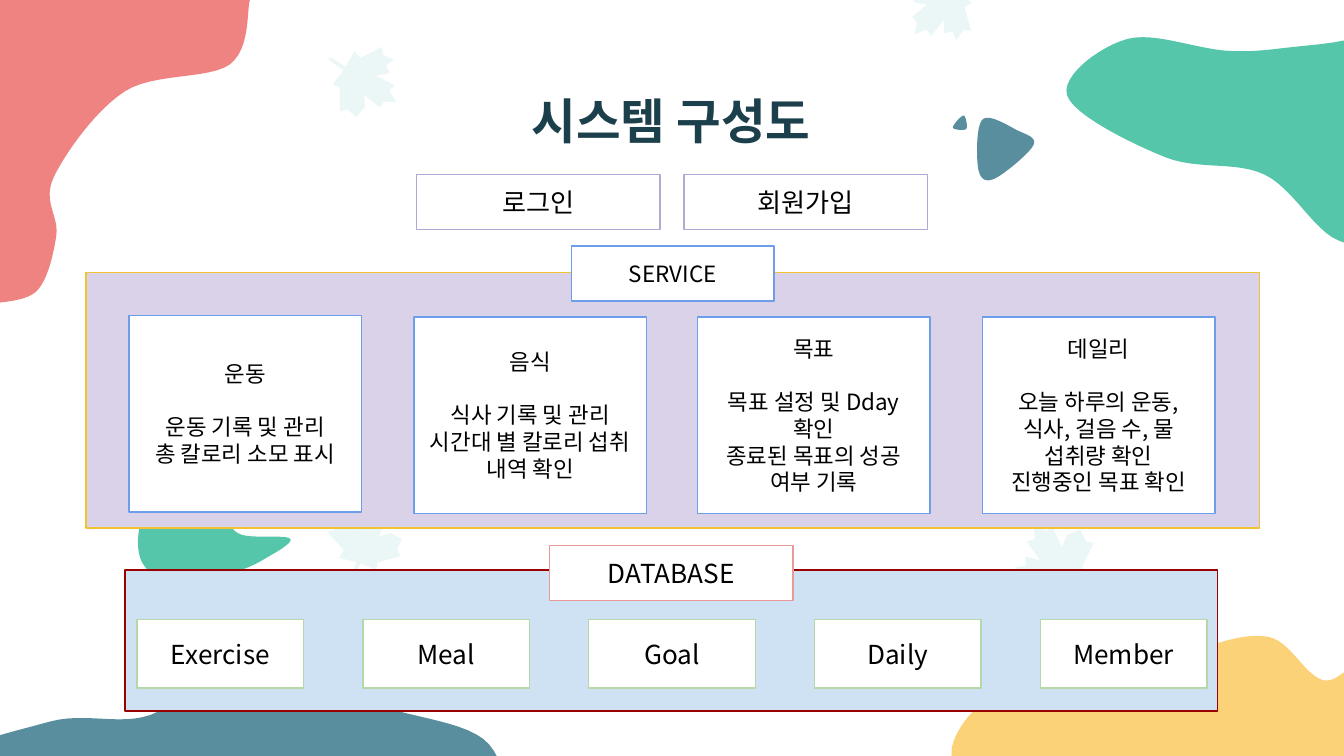
"""Build the system diagram slide."""
import lxml.etree
import pptx
import pptx.dml.color
import pptx.enum.shapes
import pptx.enum.text
import pptx.oxml.ns
import pptx.util

SCALE = 9144
FONT = "Noto Sans CJK KR"
CORAL, GREEN, GOLD, SLATE = "EE8381", "56C6AA", "FCD279", "588E9E"

WAVE = [(186, 0), (171, 48), (93, 68), (40, 132), (42, 175), (28, 216), (-4, 226)]
BACK = [
    (GREEN, [(867, 117), (941, 130), (996, 179), (1055, 177), (1194, 134), (1146, 16),
             (982, 33), (916, 38), (839, 29), (794, 71)]),
    (GOLD, [(1105, 579), (1017, 651), (833, 618), (733, 601), (708, 559), (737, 519),
            (785, 517), (834, 520), (886, 486), (944, 474), (984, 506), (1025, 498)]),
    (SLATE, [(37, 537), (112, 532), (172, 489), (231, 497), (284, 525), (364, 554),
             (373, 629), (304, 667), (143, 632), (-40, 575)]),
]
FRONT = [
    (GREEN, [(180, 398), (160, 384), (111, 381), (105, 417), (136, 439), (172, 427),
             (195, 417), (216, 401)]),
    (SLATE, [(740, 133), (769, 108), (757, 97), (731, 89), (728, 126)]),
    (SLATE, [(717, 86), (709, 95), (719, 96)]),
]
LEAF = [
    (15, 4), (16, 15), (10, 17), (20, 31), (9, 28), (9, 35), (1, 36), (7, 44), (5, 50),
    (25, 50), (27, 57), (39, 49), (47, 62), (49, 61), (42, 47), (55, 41), (51, 36),
    (60, 18), (54, 17), (50, 8), (40, 12), (36, 21), (29, 6), (24, 9)]
LEAVES = [(785, 419, 1, 0), (271, 403, 0.9, 48), (271, 59, 0.9, 153), (702, 5, 0.9, 254)]

CARDS = [
    ["운동", "운동 기록 및 관리", "총 칼로리 소모 표시"],
    ["음식", "식사 기록 및 관리", "시간대 별 칼로리 섭취 내역 확인"],
    ["목표", "목표 설정 및 Dday 확인", "종료된 목표의 성공 여부 기록"],
    ["데일리", "오늘 하루의 운동, 식사, 걸음 수, 물 섭취량 확인", "진행중인 목표 확인"],
]
STORES = ["Exercise", "Meal", "Goal", "Daily", "Member"]


def px(*nums):
    """Turn px into EMU."""
    return [pptx.util.Emu(round(num * SCALE)) for num in nums]


def color(code):
    """Turn a hex string into a colour."""
    return pptx.dml.color.RGBColor.from_string(code)


def blend(a, b, c, d, t):
    """Find a value between b and c on a smooth curve."""
    return b + t / 2 * (c - a + t * (2 * a - 5 * b + 4 * c - d + t * (3 * b - a - 3 * c + d)))


def curve(knots, steps=12):
    """Sample a smooth curve that runs through all knots but the ends."""
    spots = []
    for quad in zip(knots, knots[1:], knots[2:], knots[3:]):
        for step in range(steps):
            spots.append(tuple(blend(*axis, step / steps) for axis in zip(*quad)))
    return spots + [knots[-2]]


def outline(slide, spots, fill):
    """Draw a closed outline with a plain fill."""
    spots = [px(*spot) for spot in spots]
    pen = slide.shapes.build_freeform(*spots[0])
    pen.add_line_segments(spots[1:], close=True)
    shape = pen.convert_to_shape()
    shape.shadow.inherit = False
    shape.fill.solid()
    shape.fill.fore_color.rgb = color(fill)
    shape.line.fill.background()
    return shape


def blob(slide, fill, knots):
    """Draw a smooth closed blob."""
    outline(slide, curve(knots[-1:] + knots + knots[:2]), fill)


def leaf(slide, x, y, size, angle):
    """Draw a pale leaf around a centre."""
    shape = outline(slide, [(x + (a - 31) * size, y + (b - 33) * size) for a, b in LEAF], "CBE7EA")
    shape.rotation = angle
    tint = shape.fill._xPr.find(".//" + pptx.oxml.ns.qn("a:srgbClr"))
    lxml.etree.SubElement(tint, pptx.oxml.ns.qn("a:alpha"), val="37000")


def write(shape, lines, size, ink="000000", bold=False, gap=0):
    """Write centred lines, with a gap after the first."""
    frame = shape.text_frame
    frame.word_wrap = True
    frame.vertical_anchor = pptx.enum.text.MSO_ANCHOR.MIDDLE
    frame.margin_left, frame.margin_top, frame.margin_right, frame.margin_bottom = px(*[10] * 4)
    frame.text = "\n".join(lines)
    for i, para in enumerate(frame.paragraphs):
        para.alignment = pptx.enum.text.PP_ALIGN.CENTER
        if i == 1:
            para.space_before = pptx.util.Pt(gap)
        font = para.font
        font.name, font.size, font.bold = FONT, pptx.util.Pt(size), bold
        font.color.rgb = color(ink)
        lxml.etree.SubElement(font._rPr, pptx.oxml.ns.qn("a:ea"), typeface=FONT)


def box(slide, place, line, fill="FFFFFF", lines=(), size=14, gap=0):
    """Draw a thin-edged box, with text if given."""
    shape = slide.shapes.add_shape(pptx.enum.shapes.MSO_SHAPE.RECTANGLE, *px(*place))
    shape.shadow.inherit = False
    if fill:
        shape.fill.solid()
        shape.fill.fore_color.rgb = color(fill)
    else:
        shape.fill.background()
    shape.line.color.rgb = color(line)
    shape.line.width = pptx.util.Pt(0.75)
    if lines:
        write(shape, lines, size, gap=gap)


def main():
    """Build and save the slide."""
    deck = pptx.Presentation()
    deck.slide_width, deck.slide_height = px(1000, 562.5)
    slide = deck.slides.add_slide(deck.slide_layouts[6])
    outline(slide, [(-4, 0)] + curve(WAVE[:1] + WAVE + WAVE[-1:]), CORAL)
    for fill, knots in BACK:
        blob(slide, fill, knots)
    for spot in LEAVES:
        leaf(slide, *spot)
    for fill, knots in FRONT:
        blob(slide, fill, knots)

    title = slide.shapes.add_textbox(*px(357, 59, 285, 61))
    write(title, ["시스템 구성도"], 26, "1C3F4C", True)
    for i, name in enumerate(["로그인", "회원가입"]):
        box(slide, (310 + 199 * i, 130, 181, 41), "B4A7D6", None, [name])

    box(slide, (64, 203, 873, 190), "F1C232", "D9D2E9")
    box(slide, (425, 183, 151, 41), "6D9EEB", lines=["SERVICE"], size=12)
    for i, lines in enumerate(CARDS):
        top = 236 if i else 235
        box(slide, (96 + round(635 * i / 3), top, 173, 146), "6D9EEB", lines=lines, size=12, gap=14)

    box(slide, (93, 424, 813, 105), "990000", "CFE2F3")
    box(slide, (409, 406, 181, 41), "EA9999", lines=["DATABASE"])
    for i, name in enumerate(STORES):
        box(slide, (102 + 168 * i, 461, 124, 51), "B6D7A8", lines=[name])
    deck.save("out.pptx")


if __name__ == "__main__":
    main()
